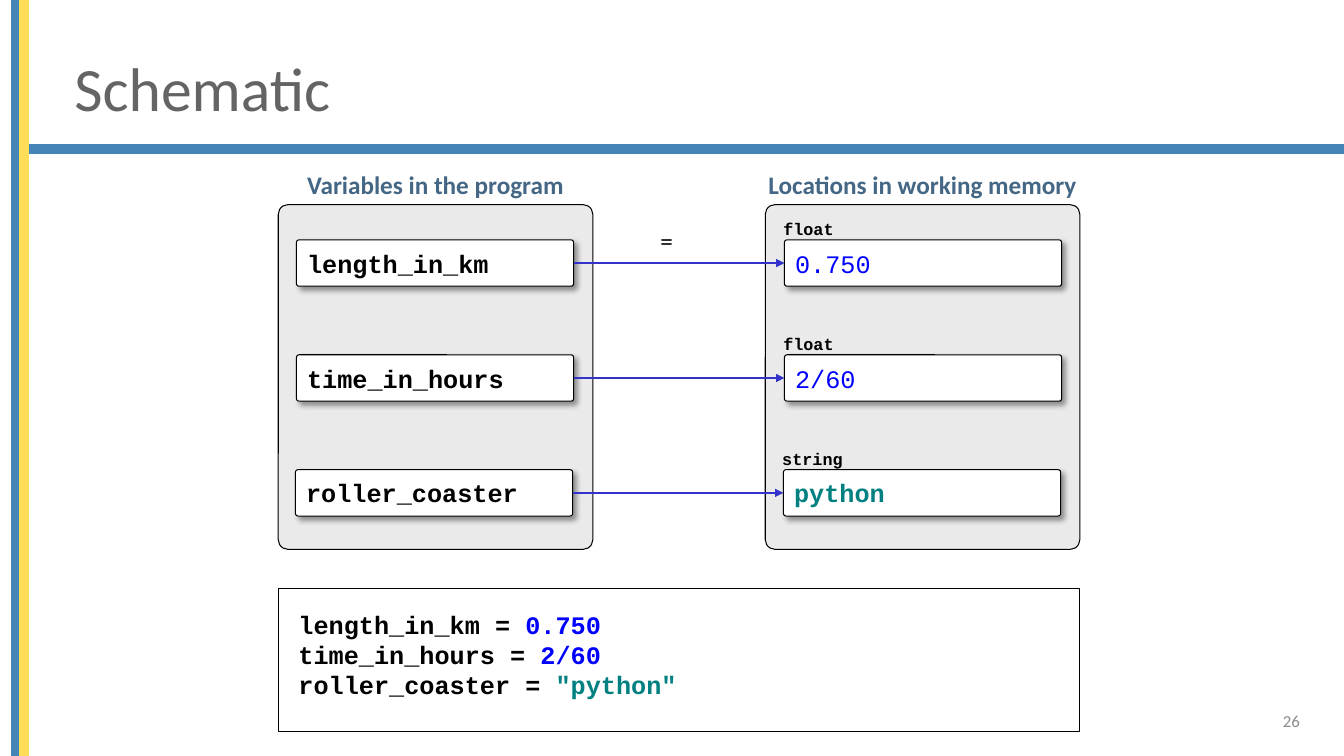
from pptx import Presentation
from pptx.dml.color import RGBColor
from pptx.enum.shapes import MSO_CONNECTOR, MSO_SHAPE
from pptx.enum.text import MSO_ANCHOR, PP_ALIGN
from pptx.oxml import parse_xml
from pptx.oxml.ns import nsdecls, qn
from pptx.util import Inches, Pt
from lxml import etree

RECTANGLE, ROUNDED, FOLDED = MSO_SHAPE.RECTANGLE, MSO_SHAPE.ROUNDED_RECTANGLE, MSO_SHAPE.FOLDED_CORNER
LEFT, CENTER, RIGHT = PP_ALIGN.LEFT, PP_ALIGN.CENTER, PP_ALIGN.RIGHT
TOP, MIDDLE = MSO_ANCHOR.TOP, MSO_ANCHOR.MIDDLE
STRAIGHT = MSO_CONNECTOR.STRAIGHT
RIGHT_SITE, LEFT_SITE = 3, 1

WIDTH, HEIGHT = 13.33, 7.5
BLACK, WHITE, BLUE, YELLOW = "000000", "FFFFFF", "4584B6", "FFDE57"
NUMBER, STRING, ARROW = "0000FF", "008080", "3333CC"
SANS, MONO = "Calibri", "Courier New"

TITLE, PAGE_NUMBER = "Schematic", "26"
STRIPES = [
    ((0.19, 1.44, WIDTH - 0.19, 0.08), BLUE),
    ((0.12, 0, 0.08, HEIGHT), BLUE),
    ((0.2, 0, 0.08, HEIGHT), YELLOW),
]
PANELS = ["Variables in the program", "Locations in working memory"]
VARIABLES = [
    {"name": "length_in_km", "kind": "float", "value": "0.750", "code": "0.750",
     "color": NUMBER, "bold": False, "shift": 0, "label_width": 0.71},
    {"name": "time_in_hours", "kind": "float", "value": "2/60", "code": "2/60",
     "color": NUMBER, "bold": False, "shift": 0, "label_width": 0.71},
    {"name": "roller_coaster", "kind": "string", "value": "python", "code": '"python"',
     "color": STRING, "bold": True, "shift": -0.01, "label_width": 0.81},
]

PANEL_LEFT, PANEL_TOP, PANEL_WIDTH, PANEL_HEIGHT = 2.76, 2.03, 3.12, 3.42
PANEL_STEP, HEADING_WIDTH = 4.83, 3.54
CELL_LEFT, CELL_TOP, CELL_WIDTH, CELL_HEIGHT = 2.94, 2.38, 2.75, 0.46
CELL_STEP, ROW_STEP = 4.84, 1.14
PANEL_CORNER, CELL_CORNER = 3100, 5800

deck = Presentation()
deck.slide_width, deck.slide_height = Inches(WIDTH), Inches(HEIGHT)
page = deck.slides.add_slide(deck.slide_layouts[6])


def color(value):
    return RGBColor.from_string(value)


def add_box(preset, place, fill, line, weight=0.75, corner=None):
    box = page.shapes.add_shape(preset, *map(Inches, place))
    box.shadow.inherit = False
    box.fill.solid()
    box.fill.fore_color.rgb = color(fill)
    box.line.color.rgb = color(line)
    box.line.width = Pt(weight)
    if corner is not None:
        guides = box._element.spPr.find(qn("a:prstGeom")).find(qn("a:avLst"))
        for guide in list(guides):
            guides.remove(guide)
        etree.SubElement(guides, qn("a:gd"), name="adj", fmla=f"val {corner}")
    return box


def write(box, lines, size, font=SANS, align=LEFT, anchor=TOP, wrap=True, inset=None):
    frame = box.text_frame
    layout = {"word_wrap": wrap, "vertical_anchor": anchor}
    if inset is not None:
        layout.update({f"margin_{side}": Inches(inset) for side in ("left", "top", "right", "bottom")})
    for key, value in layout.items():
        setattr(frame, key, value)
    para = frame.paragraphs[0]
    para.alignment = align
    for index, line in enumerate(lines):
        if index:
            para.add_line_break()
        for text, ink, bold in line:
            span = para.add_run()
            span.text = text
            for key, value in {"name": font, "size": Pt(size), "bold": bold}.items():
                setattr(span.font, key, value)
            span.font.color.rgb = color(ink)
    return para


def add_text(place, text, size, ink, bold=False, **layout):
    box = page.shapes.add_textbox(*map(Inches, place))
    return write(box, [[(text, ink, bold)]], size, **layout)


def add_cell(left, top, text, ink, bold):
    cell = add_box(ROUNDED, (left, top, CELL_WIDTH, CELL_HEIGHT), WHITE, BLACK, corner=CELL_CORNER)
    effects = cell._element.spPr.find(qn("a:effectLst"))
    effects.append(parse_xml(
        f'<a:outerShdw {nsdecls("a")} blurRad="{Pt(4)}" dist="{Pt(3)}" dir="2700000" algn="tl" '
        f'rotWithShape="0"><a:srgbClr val="{BLACK}"><a:alpha val="40000"/></a:srgbClr></a:outerShdw>'))
    write(cell, [[(text, ink, bold)]], 18, font=MONO, anchor=MIDDLE)
    return cell


def add_arrow(source, target):
    arrow = page.shapes.add_connector(STRAIGHT, 0, 0, 0, 0)
    arrow.begin_connect(source, RIGHT_SITE)
    arrow.end_connect(target, LEFT_SITE)
    arrow.line.color.rgb = color(ARROW)
    arrow.line.width = Pt(1.25)
    outline = arrow._element.spPr.find(qn("a:ln"))
    etree.SubElement(outline, qn("a:tailEnd"), type="triangle")
    etree.SubElement(arrow._element.spPr, qn("a:effectLst"))


for place, paint in STRIPES:
    add_box(RECTANGLE, place, paint, paint, weight=1)

heading = add_text((0.64, 0.4, 11.78, 1.01), TITLE, 44, "646464", anchor=MIDDLE)
heading.line_spacing = 0.9

for column, caption in enumerate(PANELS):
    left = PANEL_LEFT + column * PANEL_STEP
    add_box(ROUNDED, (left, PANEL_TOP, PANEL_WIDTH, PANEL_HEIGHT), "EAEAEA", BLACK, corner=PANEL_CORNER)
    caption_left = left + (PANEL_WIDTH - HEADING_WIDTH) / 2
    add_text((caption_left, 1.63, HEADING_WIDTH, 0.4), caption, 18, "446785", True, align=CENTER)

code_box = add_box(FOLDED, (PANEL_LEFT, 5.84, PANEL_STEP + PANEL_WIDTH, 1.42), WHITE, BLACK, corner=0)
code_fill = code_box._element.spPr.find(qn("a:solidFill"))
etree.SubElement(code_fill[0], qn("a:alpha"), val="70000")
code = [[(f"{item['name']} = ", BLACK, True), (item["code"], item["color"], True)] for item in VARIABLES]
write(code_box, code, 18, font=MONO, inset=0.2)

for row, item in enumerate(VARIABLES):
    left = CELL_LEFT + item["shift"]
    top = CELL_TOP + row * ROW_STEP
    name_cell = add_cell(left, top, item["name"], BLACK, True)
    value_cell = add_cell(left + CELL_STEP, top, item["value"], item["color"], item["bold"])
    add_arrow(name_cell, value_cell)
    label_place = (left + CELL_STEP - 0.11, top - 0.26, item["label_width"], 0.3)
    add_text(label_place, item["kind"], 12, BLACK, True, font=MONO, wrap=False)

add_text((6.45, 2.19, 0.35, 0.4), "=", 18, BLACK)
add_text((9.99, 6.95, 3, 0.4), PAGE_NUMBER, 12, "8C8C8C", align=RIGHT, anchor=MIDDLE)

deck.save("out.pptx")
